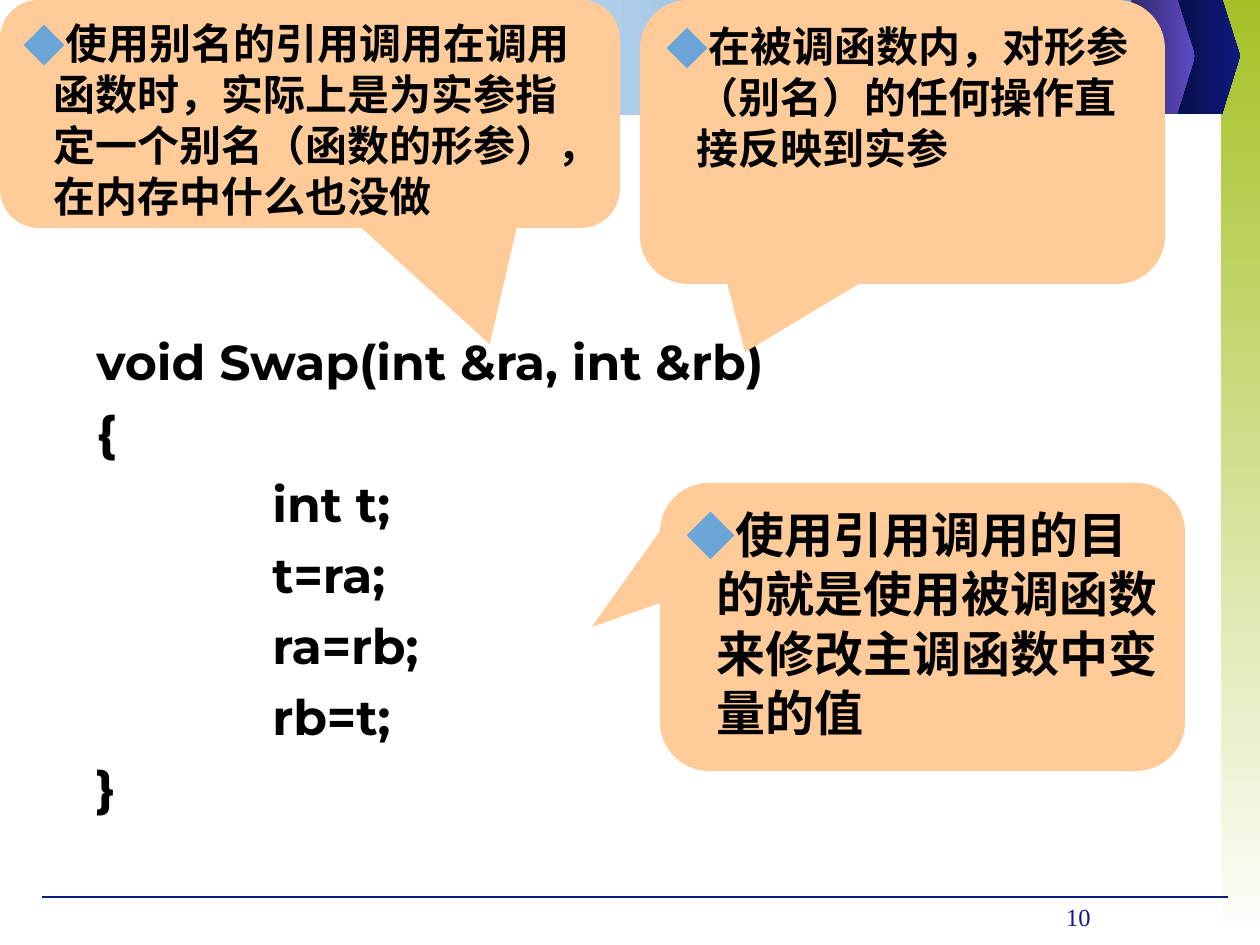
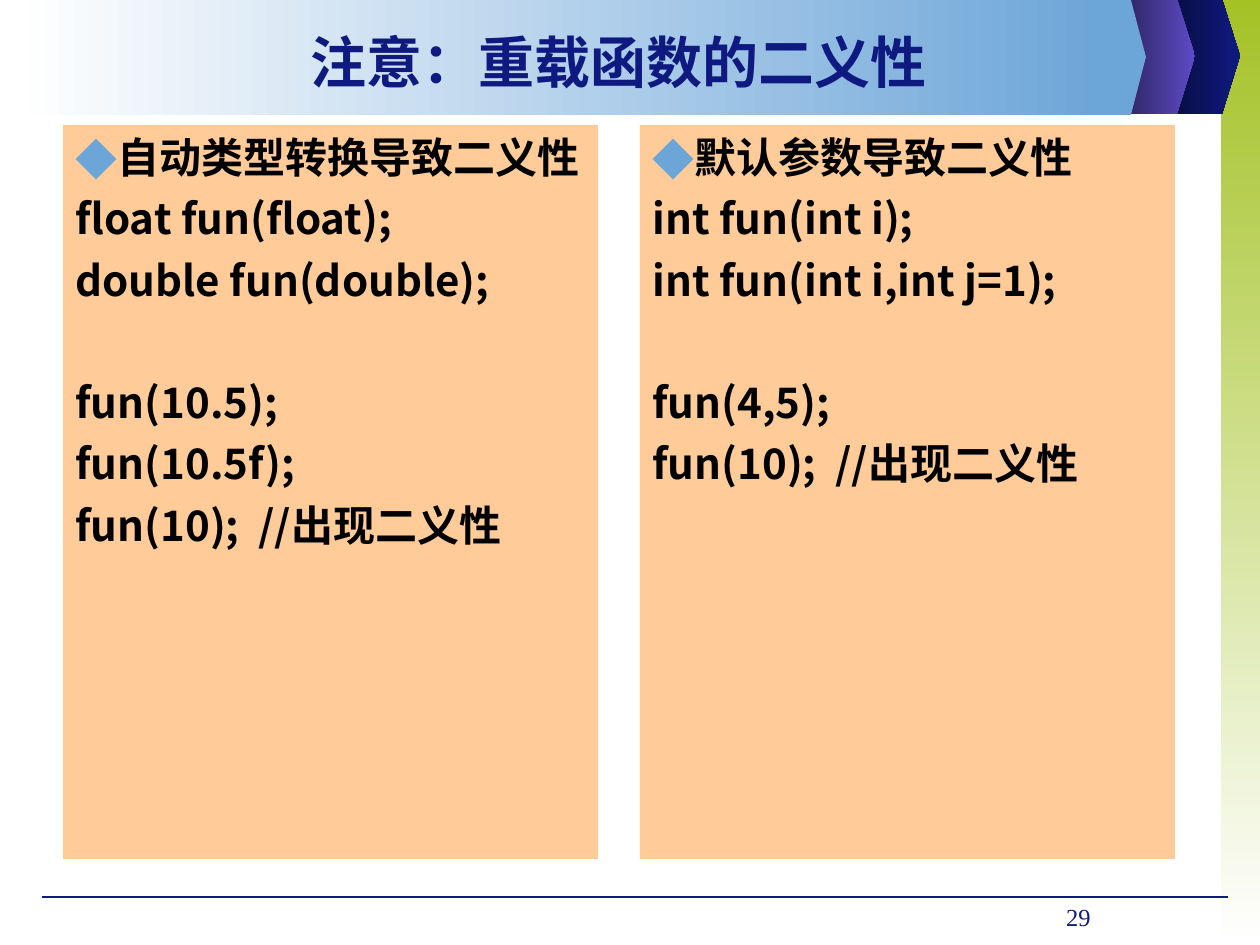
from lxml import etree
from pptx import Presentation
from pptx import util as u
from pptx.dml.color import RGBColor
from pptx.enum import shapes, text
from pptx.oxml import ns

PX = u.Inches(1) // 126
COLORS = {
    "navy": "0F1A81", "deep": "070C3C", "plum": "2B235C", "violet": "5D4BC7",
    "sky": "6CA5D8", "green": "A4C226", "white": "FFFFFF", "peach": "FFCC99",
    "black": "000000",
}
CJK = "Noto Sans CJK SC"
BODY = dict(name="Arial", size=24, bold=True, color="black")
PANEL_FONT = {**BODY, "name": CJK}
CODE_FONT = {**BODY, "name": "Montserrat", "size": 28}
TITLE_FONT = {**PANEL_FONT, "size": 32, "color": "navy"}
PAGE_FONT = dict(name="Times New Roman", size=14, bold=False, color="navy")
HANG = 30          # hanging indent of a bulleted paragraph, px
CODE_INDENT = 176  # indent of the function body, px

SWAP_CODE = [
    ("void Swap(int &ra, int &rb)", 0), ("{", 0),
    ("int t;", 1), ("t=ra;", 1), ("ra=rb;", 1), ("rb=t;", 1), ("}", 0),
]
# text, box, adjustments, font size
CALLOUTS = [
    ("使用别名的引用调用在调用函数时，实际上是为实参指定一个别名（函数的形参），在内存中什么也没做",
     (0, 0, 620, 228), (0.29, 1.01, 0.17), 24),
    ("在被调函数内，对形参（别名）的任何操作直接反映到实参",
     (640, 0, 525, 284), (-0.3, 0.74, 0.17), 24),
    ("使用引用调用的目的就是使用被调函数来修改主调函数中变量的值",
     (660, 483, 525, 288), (-0.63, 0, 0.17), 28),
]
AMBIGUITY_TITLE = "注意：重载函数的二义性"
# heading, declarations, calls
PANELS = [
    ("自动类型转换导致二义性",
     ["float fun(float);", "double fun(double);"],
     ["fun(10.5);", "fun(10.5f);", "fun(10);  //出现二义性"]),
    ("默认参数导致二义性",
     ["int fun(int i);", "int fun(int i,int j=1);"],
     ["fun(4,5);", "fun(10);  //出现二义性"]),
]
PANEL_LEFT, PANEL_TOP, PANEL_W, PANEL_H, PANEL_STEP = 63, 125, 535, 734, 577

# left, top, body width, point width, height, fill
CHEVRONS = [
    (1166, -1, 56, 18, 115, ("deep", "navy")),
    (1121, -1, 56, 18, 115, ("plum", "violet")),
]
BANNER_TIP = (1087, 0, 44, 15, 115, ("sky",))


def rgb(name):
    return RGBColor.from_string(COLORS[name])


def px(*values):
    return [v * PX for v in values]


def paint(sp, fill, angle=0):
    """Fill with one colour, or a gradient of two; no line, no shadow."""
    if len(fill) == 1:
        sp.fill.solid()
        sp.fill.fore_color.rgb = rgb(fill[0])
    else:
        sp.fill.gradient()
        sp.fill.gradient_angle = angle
        for stop, name in zip(sp.fill.gradient_stops, fill):
            stop.color.rgb = rgb(name)
    sp.line.fill.background()
    sp.shadow.inherit = False
    return sp


def add_block(slide, box, fill, angle=0, kind=shapes.MSO_SHAPE.RECTANGLE):
    return paint(slide.shapes.add_shape(kind, *px(*box)), fill, angle)


def add_pentagon(slide, left, top, body, point, height, fill):
    right, bottom = left + body, top + height
    builder = slide.shapes.build_freeform(left, top, scale=PX)
    builder.add_line_segments([
        (right, top), (right + point, top + height // 2),
        (right, bottom), (left, bottom)])
    paint(builder.convert_to_shape(), fill)


def add_textbox(slide, box):
    return slide.shapes.add_textbox(*px(*box)).text_frame


def set_bullet(p):
    pPr = p._p.get_or_add_pPr()
    pPr.set("marL", str(HANG * PX))
    pPr.set("indent", str(-HANG * PX))
    clr = etree.SubElement(pPr, ns.qn("a:buClr"))
    etree.SubElement(clr, ns.qn("a:srgbClr"), val=COLORS["sky"])
    etree.SubElement(pPr, ns.qn("a:buFont"), typeface=CJK)
    etree.SubElement(pPr, ns.qn("a:buChar"), char="◆")


def write(tf, lines, font, align=text.PP_ALIGN.LEFT,
          anchor=text.MSO_ANCHOR.TOP):
    """Fill a frame with lines: dicts of text, bullet, indent, before, spacing."""
    tf.word_wrap = True
    tf.vertical_anchor = anchor
    for i, line in enumerate(lines):
        p = tf.add_paragraph() if i else tf.paragraphs[0]
        p.alignment = align
        if i:
            p.space_before = u.Pt(line.get("before", 0))
        if "spacing" in line:
            p.line_spacing = line["spacing"]
        if line.get("bullet"):
            set_bullet(p)
        if line.get("indent"):
            p._p.get_or_add_pPr().set("marL", str(line["indent"] * PX))
        r = p.add_run()
        r.text = line["text"]
        for key, value in (("name", font["name"]), ("bold", font["bold"]),
                           ("size", u.Pt(font["size"]))):
            setattr(r.font, key, value)
        r.font.color.rgb = rgb(font["color"])
        ea = etree.Element(ns.qn("a:ea"), typeface=CJK)
        r._r.rPr.find(ns.qn("a:latin")).addnext(ea)


def line_height(size):
    return u.Pt(round(size * 1.2))


def add_base(prs):
    """Add a slide with the bands, chevrons and footer line."""
    slide = prs.slides.add_slide(prs.slide_layouts[6])
    add_block(slide, (1221, 0, 39, 945), ("green", "white"), angle=270)
    for chevron in CHEVRONS:
        add_pentagon(slide, *chevron)
    rule = slide.shapes.add_connector(
        shapes.MSO_CONNECTOR.STRAIGHT, *px(42, 897, 1228, 897))
    rule.line.color.rgb = rgb("navy")
    rule.line.width = u.Pt(0.75)
    etree.SubElement(rule._element.spPr, ns.qn("a:effectLst"))
    add_block(slide, (15, 0, 1096, 115), ("white", "sky"))
    add_pentagon(slide, *BANNER_TIP)
    return slide


def add_page_number(slide, number):
    write(add_textbox(slide, (1017, 896, 86, 49)), [dict(text=str(number))],
          PAGE_FONT, text.PP_ALIGN.RIGHT)


def build_swap(prs):
    slide = add_base(prs)
    lines = [dict(text=code, indent=level * CODE_INDENT, before=7)
             for code, level in SWAP_CODE]
    lines[0]["spacing"] = 0.85
    write(add_textbox(slide, (84, 334, 1091, 525)), lines, CODE_FONT)
    for words, box, adjustments, size in CALLOUTS:
        sp = add_block(slide, box, ("peach",),
                       kind=shapes.MSO_SHAPE.ROUNDED_RECTANGULAR_CALLOUT)
        for i, value in enumerate(adjustments):
            sp.adjustments[i] = value
        write(sp.text_frame,
              [dict(text=words, bullet=True, spacing=line_height(size))],
              {**BODY, "size": size})
    add_page_number(slide, 10)


def build_ambiguity(prs):
    slide = add_base(prs)
    write(add_textbox(slide, (113, 18, 1012, 87)),
          [dict(text=AMBIGUITY_TITLE)], TITLE_FONT,
          text.PP_ALIGN.CENTER, text.MSO_ANCHOR.MIDDLE)
    for i, (heading, declarations, calls) in enumerate(PANELS):
        sp = add_block(slide, (PANEL_LEFT + i * PANEL_STEP, PANEL_TOP,
                               PANEL_W, PANEL_H), ("peach",))
        spacing = line_height(PANEL_FONT["size"])
        lines = [dict(text=t, before=6, spacing=spacing)
                 for t in [heading, *declarations, *calls]]
        lines[0]["bullet"] = True
        lines[1 + len(declarations)]["before"] = 41
        write(sp.text_frame, lines, PANEL_FONT)
    add_page_number(slide, 29)


def main():
    prs = Presentation()
    prs.slide_width, prs.slide_height = px(1260, 945)
    build_swap(prs)
    build_ambiguity(prs)
    prs.save("out.pptx")


if __name__ == "__main__":
    main()
